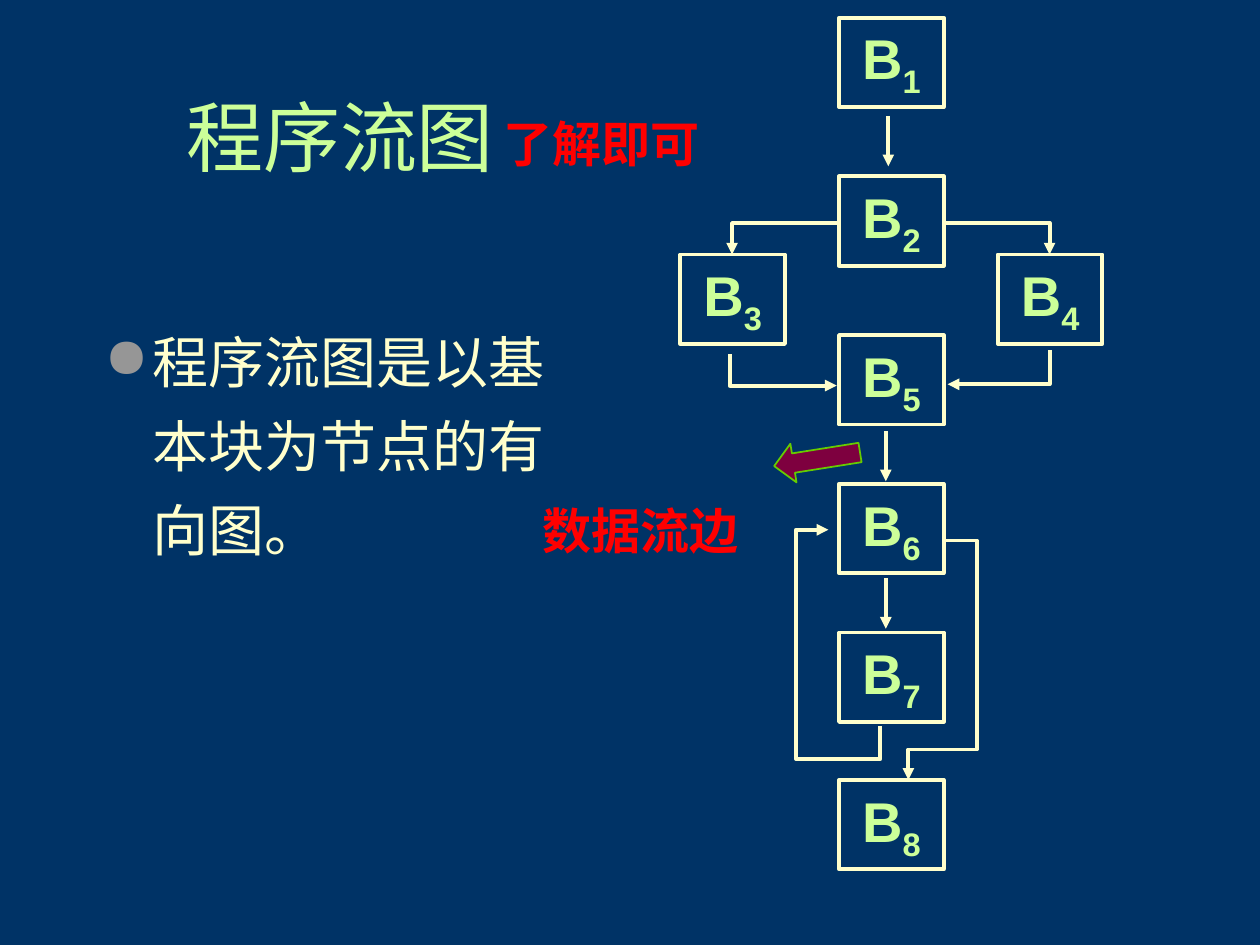
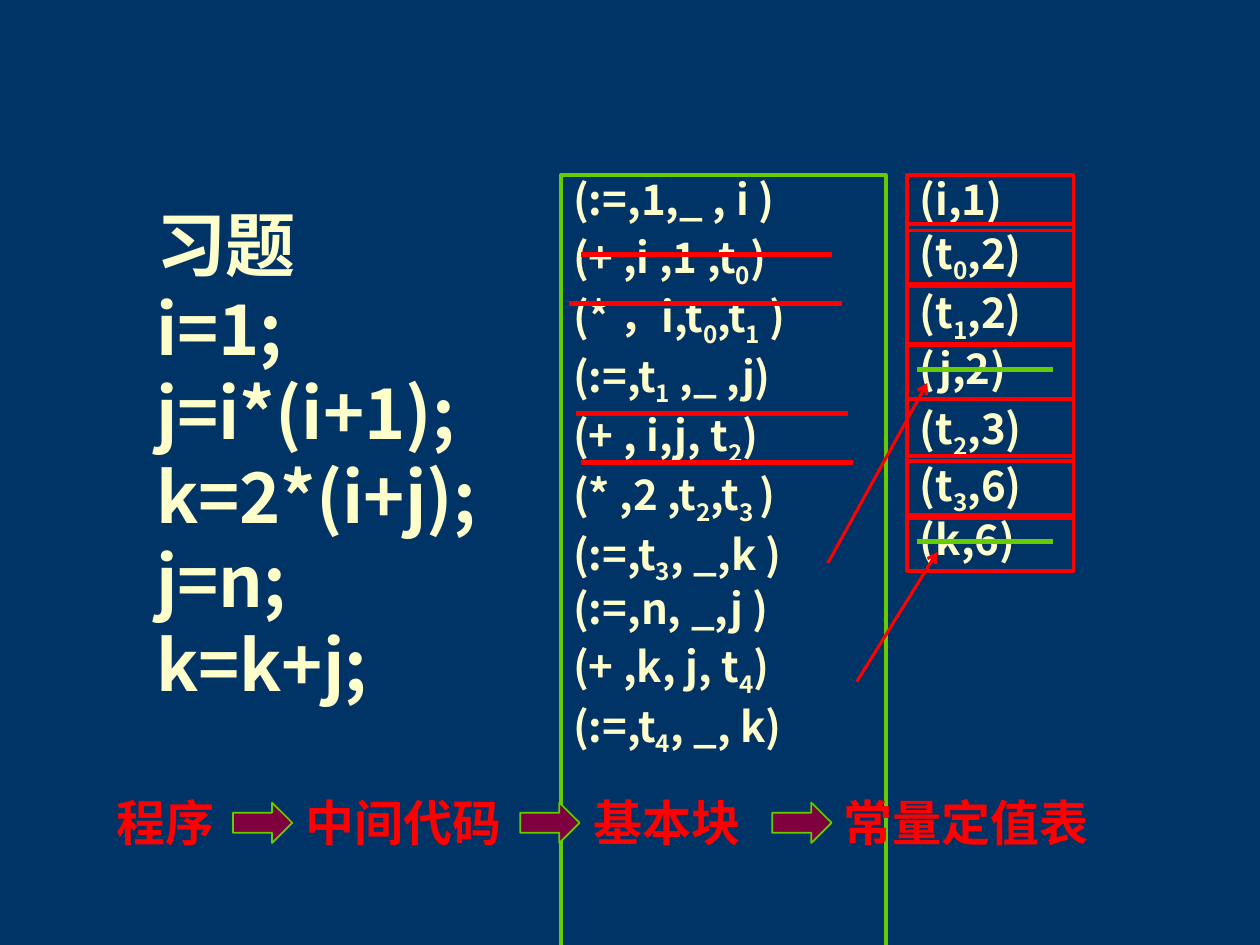
from dataclasses import dataclass
from typing import NamedTuple, Optional

from lxml.etree import SubElement
from pptx import Presentation
from pptx.dml.color import RGBColor
from pptx.enum.shapes import MSO_CONNECTOR, MSO_SHAPE
from pptx.enum.text import MSO_ANCHOR, PP_ALIGN
from pptx.oxml.ns import qn
from pptx.util import Inches, Pt


# Shared look
@dataclass(frozen=True)
class Theme:
    ground: str = "003366"
    title: str = "CCFF99"
    body: str = "FFFFCC"
    bullet: str = "969696"
    accent: str = "FF0000"
    green: str = "66CC00"
    arrow: str = "7E003F"
    serif: str = "Times New Roman"
    sans: str = "Arial"
    chinese: str = "Noto Sans CJK SC"
    title_size: int = 44
    exercise_size: int = 40
    body_size: int = 32
    label_size: int = 28
    code_size: int = 24
    frame_width: float = 2.25
    strike_width: float = 3
    pointer_width: float = 1.75


THEME = Theme()

# The slide is a grid of 100 columns by 75 rows of square cells
COLUMNS, ROWS = 100, 75
CELL = Inches(0.1)


class Area(NamedTuple):
    column: float
    row: float
    width: float
    height: float


class Style(NamedTuple):
    font: str
    size: int
    color: str
    bold: bool = True
    align: PP_ALIGN = PP_ALIGN.LEFT
    line_spacing: Optional[float] = None
    space_before: float = 0


class Line(NamedTuple):
    start: tuple[float, float]
    end: tuple[float, float]
    color: str
    width: float
    head: str = ""


class Elbow(NamedTuple):
    """A bent connector: its unturned frame, turn, mirroring and bends."""
    area: Area
    turn: int
    flip: str
    preset: str
    bends: tuple[int, ...] = ()


class Label(NamedTuple):
    text: str
    area: Area


TITLE = Style(THEME.serif, THEME.title_size, THEME.title, False, PP_ALIGN.CENTER, 0.85)
BODY = Style(THEME.chinese, THEME.body_size, THEME.body, False, line_spacing=1.25)
BLOCK = Style(THEME.sans, THEME.body_size, THEME.title, align=PP_ALIGN.CENTER)
LABEL = Style(THEME.serif, THEME.label_size, THEME.accent)
EXERCISE = Style(THEME.chinese, THEME.exercise_size, THEME.body)
CODE = Style(THEME.chinese, THEME.code_size, THEME.body, line_spacing=0.85, space_before=6)


def cells(*values: float) -> list[int]:
    return [round(value * CELL) for value in values]


def rgb(color: str) -> RGBColor:
    return RGBColor.from_string(color)


# Text: every second piece between bars is a subscript
def write(shape, lines: list[str], style: Style, bullet: str = "") -> None:
    frame = shape.text_frame
    frame.word_wrap = True
    for index, line in enumerate(lines):
        para = frame.add_paragraph() if index else frame.paragraphs[0]
        para.alignment = style.align
        if style.line_spacing:
            para.line_spacing = style.line_spacing
        if index and style.space_before:
            para.space_before = Pt(style.space_before)
        if bullet:
            add_bullet(para, bullet)
        para.font.name, para.font.size = style.font, Pt(style.size)
        para.font.bold = style.bold
        para.font.color.rgb = rgb(style.color)
        for position, piece in enumerate(line.split("|")):
            span = para.add_run()
            span.text = piece
            if position % 2:
                span._r.get_or_add_rPr().set("baseline", "-25000")


def add_bullet(para, mark: str) -> None:
    properties = para._p.get_or_add_pPr()
    indent = Inches(0.38)
    properties.set("marL", str(indent))
    properties.set("indent", str(-indent))
    color = SubElement(properties, qn("a:buClr"))
    SubElement(color, qn("a:srgbClr")).set("val", THEME.bullet)
    SubElement(properties, qn("a:buChar")).set("char", mark)


def add_text(page, area: Area, lines: list[str], style: Style, bullet: str = ""):
    box = page.shapes.add_textbox(*cells(*area))
    write(box, lines, style, bullet)
    return box


# Shapes
def add_frame(page, area: Area, lines: list[str], style: Style, color: str) -> None:
    box = page.shapes.add_shape(MSO_SHAPE.RECTANGLE, *cells(*area))
    box.shadow.inherit = False
    box.fill.background()
    box.line.color.rgb = rgb(color)
    box.line.width = Pt(THEME.frame_width)
    box.text_frame.vertical_anchor = MSO_ANCHOR.TOP
    write(box, lines, style)


def add_block_arrow(page, area: Area, turn: float = 0) -> None:
    arrow = page.shapes.add_shape(MSO_SHAPE.RIGHT_ARROW, *cells(*area))
    arrow.shadow.inherit = False
    arrow.rotation = turn
    arrow.fill.solid()
    arrow.fill.fore_color.rgb = rgb(THEME.arrow)
    arrow.line.color.rgb = rgb(THEME.green)
    arrow.line.width = Pt(1)


# Connectors
def add_line(page, line: Line, kind=MSO_CONNECTOR.STRAIGHT):
    connector = page.shapes.add_connector(kind, *cells(*line.start, *line.end))
    connector.line.color.rgb = rgb(line.color)
    connector.line.width = Pt(line.width)
    properties = connector._element.spPr
    if line.head:
        SubElement(properties.find(qn("a:ln")), qn("a:tailEnd")).set("type", line.head)
    SubElement(properties, qn("a:effectLst"))
    return connector


def flow_line(start: tuple[float, float], end: tuple[float, float]) -> Line:
    return Line(start, end, THEME.body, THEME.frame_width, "triangle")


def add_elbow(page, elbow: Elbow) -> None:
    left, top, width, height = elbow.area
    line = flow_line((left, top), (left + width, top + height))
    properties = add_line(page, line, MSO_CONNECTOR.ELBOW)._element.spPr
    transform = properties.find(qn("a:xfrm"))
    transform.set("rot", str(elbow.turn * 60000))
    if elbow.flip:
        transform.set(elbow.flip, "1")
    geometry = properties.find(qn("a:prstGeom"))
    geometry.set("prst", elbow.preset)
    guides = geometry.find(qn("a:avLst"))
    if guides is None:
        guides = SubElement(geometry, qn("a:avLst"))
    for number, bend in enumerate(elbow.bends, 1):
        guide = SubElement(guides, qn("a:gd"))
        guide.set("name", f"adj{number}")
        guide.set("fmla", f"val {bend}")


def new_page(deck):
    page = deck.slides.add_slide(deck.slide_layouts[6])
    page.background.fill.solid()
    page.background.fill.fore_color.rgb = rgb(THEME.ground)
    return page


# Slide 1: program flow graph
SPINE, SIDE_STEP = 66.6, 12.6
BLOCKS = {
    1: (SPINE, 1.4),
    2: (SPINE, 14),
    3: (SPINE - SIDE_STEP, 20.2),
    4: (SPINE + SIDE_STEP, 20.2),
    5: (SPINE, 26.6),
    6: (SPINE, 38.4),
    7: (SPINE, 50.2),
    8: (SPINE, 61.9),
}
DOWN_ARROWS = [(70.5, 9.2), (70.3, 34.2), (70.3, 45.9)]
ELBOWS = [
    Elbow(Area(58.1, 17.7, 8.5, 2.5), 180, "flipV", "bentConnector2"),
    Elbow(Area(74.8, 17.7, 8.5, 2.5), 0, "", "bentConnector2"),
    Elbow(Area(60.9, 25.1, 2.5, 8.5), 270, "flipH", "bentConnector2"),
    Elbow(Area(77.9, 25.1, 2.7, 8.1), 90, "", "bentConnector2"),
    Elbow(Area(60, 47.8, 15.6, 4.1), 270, "flipV", "bentConnector4", (-16700, 163000)),
    Elbow(Area(72.1, 42.9, 2.8, 19), 0, "flipH", "bentConnector4", (-94400, 87300)),
]
NOTES = [
    Label("数据流边", Area(42.1, 39.2, 20.4, 5.7)),
    Label("了解即可", Area(39, 8.5, 20.4, 5.7)),
]


def build_flow_graph(deck) -> None:
    page = new_page(deck)
    title = add_text(page, Area(7, 5.1, 40, 12.5), ["程序流图"], TITLE)
    title.text_frame.vertical_anchor = MSO_ANCHOR.MIDDLE
    add_text(page, Area(7.3, 24.2, 37.2, 42.4), ["程序流图是以基本块为节点的有向图。"], BODY, "●")
    for number, (column, row) in BLOCKS.items():
        add_frame(page, Area(column, row, 8.3, 7.1), [f"B|{number}"], BLOCK, THEME.body)
    for column, row in DOWN_ARROWS:
        add_line(page, flow_line((column, row), (column, row + 4)))
    for elbow in ELBOWS:
        add_elbow(page, elbow)
    add_block_arrow(page, Area(61.4, 34.9, 6.9, 3.1), 171)
    for note in NOTES:
        add_text(page, note.area, [note.text], LABEL)


# Slide 2: exercise on constant folding
PROGRAM = ["习题", "i=1;", "j=i*(i+1);", "k=2*(i+j);", "j=n;", "k=k+j;"]
QUADRUPLES = [
    "(:=,1,_ , i )",
    "(+ ,i ,1 ,t|0|)",
    "(* ，i,t|0|,t|1| )",
    "(:=,t|1| ,_ ,j)",
    "(+ , i,j, t|2|)",
    "(* ,2 ,t|2|,t|3 |)",
    "(:=,t|3|, _,k )",
    "(:=,n, _,j )",
    "(+ ,k, j, t|4|)",
    "(:=,t|4|, _, k)",
]
CONSTANTS = {
    "(i,1)": 13.9,
    "(t|0|,2)": 17.8,
    "(t|1|,2)": 22.5,
    "(j,2)": 27.3,
    "(t|2|,3)": 31.7,
    "(t|3|,6)": 36.2,
    "(k,6)": 40.9,
}
FOLDED = [(46.1, 66, 20.2), (45.2, 66.8, 24.1), (45.7, 67.3, 32.8), (46.1, 67.7, 36.7)]
REPLACED_ROWS = [29.3, 43]
POINTERS = [((68, 54.1), (74.4, 43.8)), ((65.7, 44.7), (73.6, 30.4))]
STAGES = [
    Label("程序", Area(8.3, 62.4, 11.6, 5.7)),
    Label("中间代码", Area(23.3, 62.4, 18.2, 5.7)),
    Label("基本块", Area(46.1, 62.4, 14.3, 5.7)),
    Label("常量定值表", Area(66, 62.4, 24.6, 5.7)),
]
STAGE_ARROWS = [18.5, 41.3, 61.3]


def build_exercise(deck) -> None:
    page = new_page(deck)
    add_text(page, Area(11.4, 15.5, 32, 41), PROGRAM, EXERCISE)
    add_frame(page, Area(44.5, 13.9, 25.8, 80.3), QUADRUPLES, CODE, THEME.green)
    for entry, row in CONSTANTS.items():
        height = 4.9 if "|" in entry else 4.4
        add_frame(page, Area(72, row, 13.2, height), [entry], CODE, THEME.accent)
    strikes = [(*strike, THEME.accent) for strike in FOLDED]
    strikes += [(72.8, 83.6, row, THEME.green) for row in REPLACED_ROWS]
    for left, right, row, color in strikes:
        add_line(page, Line((left, row), (right, row), color, THEME.strike_width))
    for column in STAGE_ARROWS:
        add_block_arrow(page, Area(column, 63.7, 4.7, 3.2))
    for stage in STAGES:
        add_text(page, stage.area, [stage.text], LABEL)
    for start, end in POINTERS:
        add_line(page, Line(start, end, THEME.accent, THEME.pointer_width, "arrow"))


def main() -> None:
    deck = Presentation()
    deck.slide_width, deck.slide_height = cells(COLUMNS, ROWS)
    build_flow_graph(deck)
    build_exercise(deck)
    deck.save("out.pptx")


if __name__ == "__main__":
    main()
